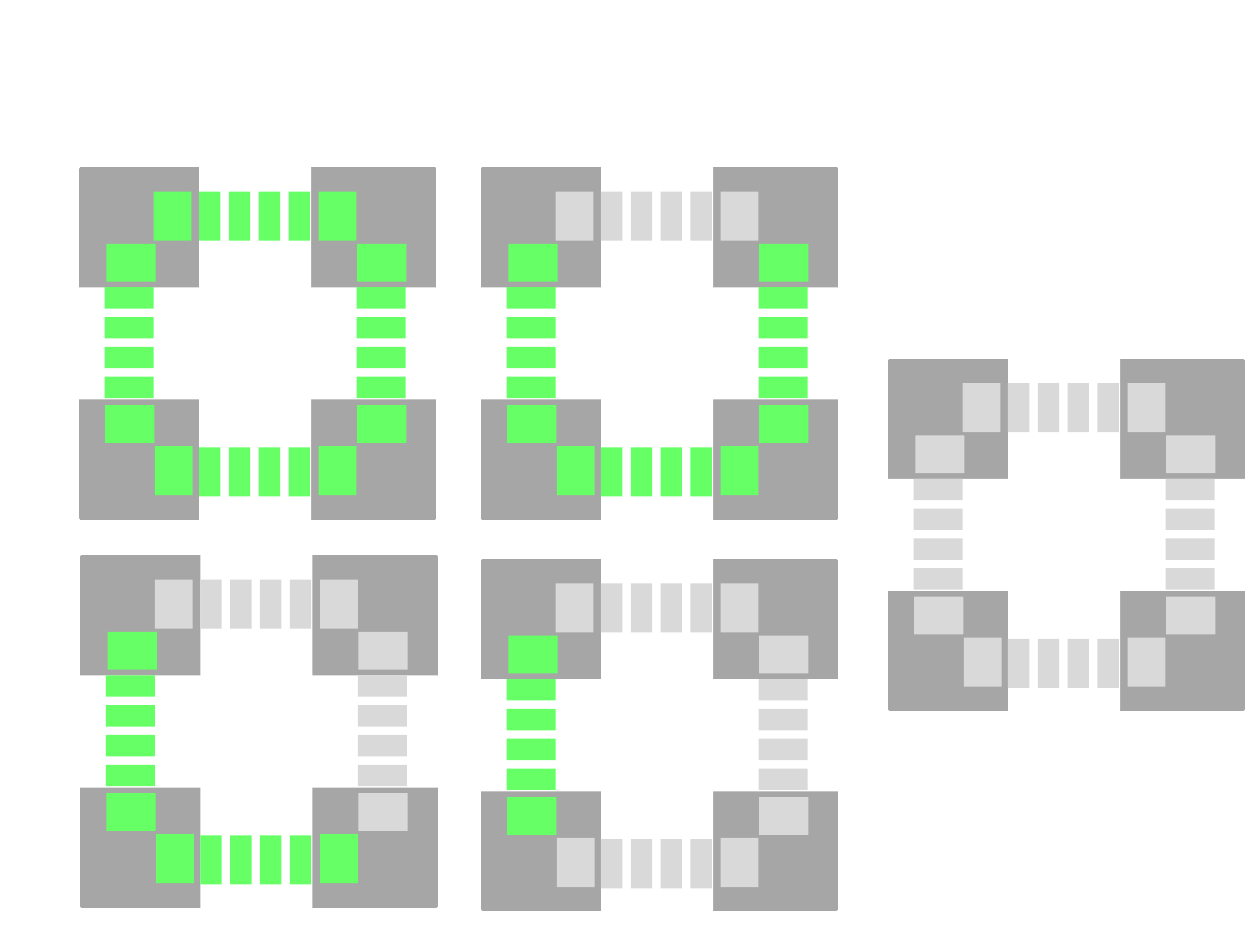
from pptx import Presentation
from pptx.dml.color import RGBColor
from pptx.enum.shapes import MSO_SHAPE as Shape
from pptx.util import Inches, Pt

GREEN, PALE, GREY, WHITE = "66FF66", "D9D9D9", "A6A6A6", "FFFFFF"

# Each ring: left, top, sides that are lit
RINGS = [
    (0.64, 1.34, {"bottom", "top", "left", "right"}),
    (3.83, 1.34, {"bottom", "left", "right"}),
    (0.65, 4.42, {"bottom", "left"}),
    (3.83, 4.45, {"left"}),
    (7.06, 2.86, set()),
]

# Sizes shared by all rings
BASE = (2.81, 2.77)
BAND = (0.89, 3.05)
BAR = (0.17, 0.39)
PAD = (0.3, 0.39)
COUNT = 4
STEP = 0.71 / (COUNT - 1)

# Each side, from the ring's corner: first bar, the two end pads, upright or not
SIDES = {
    "bottom": ((0.94, 2.21), [(0.59, 2.2), (1.89, 2.2)], True),
    "top": ((0.94, 0.18), [(0.58, 0.18), (1.89, 0.18)], True),
    "left": ((0.3, 0.83), [(0.25, 0.55), (0.24, 1.83)], False),
    "right": ((2.3, 0.83), [(2.24, 0.55), (2.24, 1.83)], False),
}


def color(code):
    return RGBColor.from_string(code)


def box(shapes, x, y, size, fill, turn=0, edge=None):
    part = shapes.add_shape(
        Shape.RECTANGLE, Inches(x), Inches(y), *map(Inches, size))
    part.shadow.inherit = False
    part.rotation = turn
    part.fill.solid()
    part.fill.fore_color.rgb = color(fill)
    if edge:
        part.line.color.rgb = color(edge)
        part.line.width = Pt(2)
    else:
        part.line.fill.background()


def ring(shapes, left, top, lit):
    # Grey base, cut into four corners by a white cross
    box(shapes, left, top, BASE, GREY, edge=GREY)
    for turn in (0, 270):
        box(shapes, left + 0.94, top - 0.14, BAND, WHITE, turn)

    for name, ((x, y), pads, upright) in SIDES.items():
        fill = GREEN if name in lit else PALE
        # Row of bars between the corners
        group = shapes.add_group_shape()
        for i in range(COUNT):
            dx, dy = (i * STEP, 0) if upright else (0, i * STEP)
            box(group.shapes, left + x + dx, top + y + dy, BAR, fill,
                0 if upright else 90)
        # Pads inside the corners
        for px, py in pads:
            box(shapes, left + px, top + py, PAD, fill, 0 if upright else 270)


deck = Presentation()
deck.slide_width, deck.slide_height = Inches(10), Inches(7.5)
slide = deck.slides.add_slide(deck.slide_layouts[6])
for spot in RINGS:
    ring(slide.shapes, *spot)
deck.save("out.pptx")
